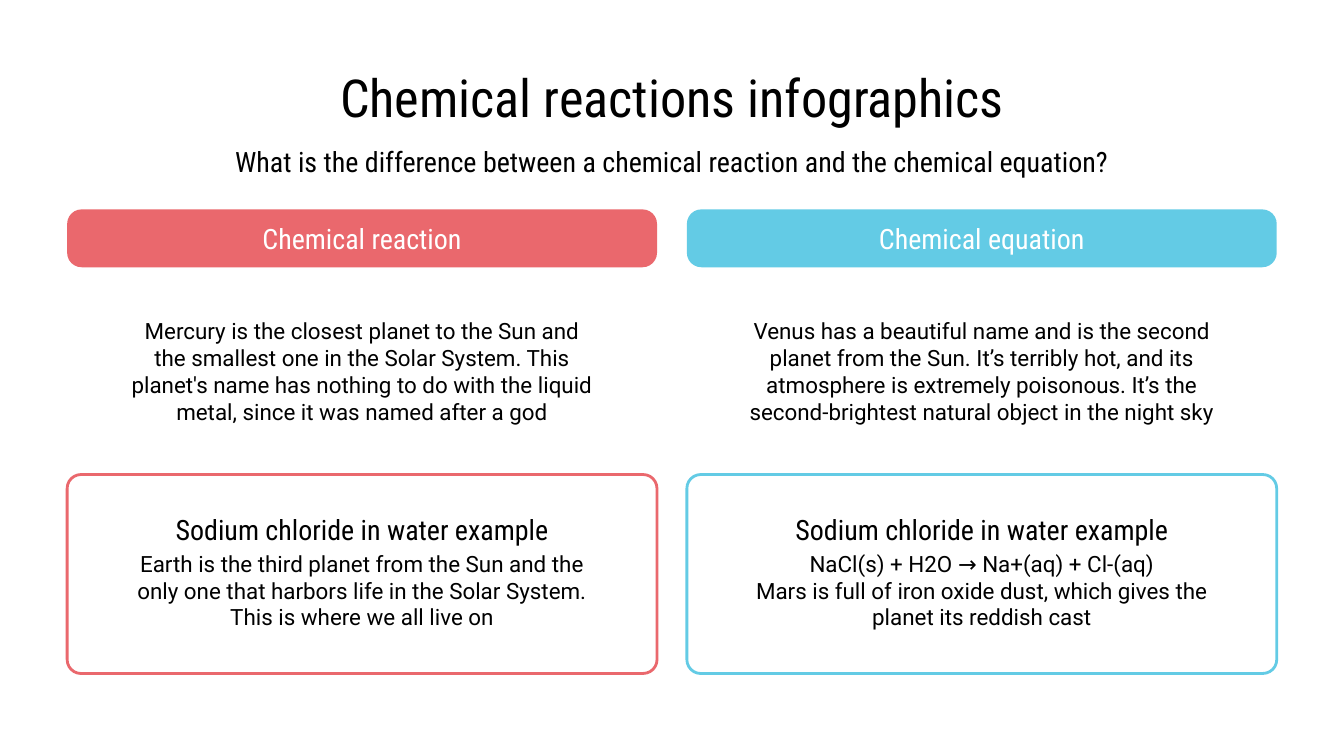
"""Build a two-column slide comparing chemical reactions and equations."""
from dataclasses import dataclass

from pptx import Presentation
from pptx.dml.color import RGBColor
from pptx.enum import shapes, text
from pptx.util import Pt

CONDENSED = "Roboto Condensed"
BODY = "Roboto"
MARGIN = 36
COLUMN_WIDTH = 316
COLUMN_STEP = 720 - 2 * MARGIN - COLUMN_WIDTH
TEXT_WIDTH = 267


@dataclass
class Column:
    heading: str
    color: str
    description: str
    example: str


COLUMNS = [
    Column(
        "Chemical reaction", "EA686D",
        "Mercury is the closest planet to the Sun and the smallest one in the "
        "Solar System. This planet's name has nothing to do with the liquid "
        "metal, since it was named after a god",
        "Earth is the third planet from the Sun and the only one that harbors "
        "life in the Solar System. This is where we all live on",
    ),
    Column(
        "Chemical equation", "63CBE5",
        "Venus has a beautiful name and is the second planet from the Sun. "
        "It’s terribly hot, and its atmosphere is extremely poisonous. It’s "
        "the second-brightest natural object in the night sky",
        "NaCl(s) + H2O → Na+(aq) + Cl-(aq)\n"
        "Mars is full of iron oxide dust, which gives the planet its reddish cast",
    ),
]


def rgb(color: str) -> RGBColor:
    return RGBColor.from_string(color)


def write(box, words: str, *, size: float, font: str = CONDENSED,
          color: str = "000000", inset: float = 7.2) -> None:
    frame = box.text_frame
    frame.word_wrap = True
    frame.auto_size = text.MSO_AUTO_SIZE.NONE
    frame.vertical_anchor = text.MSO_ANCHOR.MIDDLE
    frame.margin_left = frame.margin_right = Pt(7.2)
    frame.margin_top = frame.margin_bottom = Pt(inset)
    for index, line in enumerate(words.split("\n")):
        para = frame.add_paragraph() if index else frame.paragraphs[0]
        para.alignment = text.PP_ALIGN.CENTER
        span = para.add_run()
        span.text = line
        span.font.name = font
        span.font.size = Pt(size)
        span.font.color.rgb = rgb(color)


def add_text(page, left: float, top: float, width: float, height: float,
             words: str, *, size: float, font: str = CONDENSED) -> None:
    box = page.shapes.add_textbox(Pt(left), Pt(top), Pt(width), Pt(height))
    write(box, words, size=size, font=font)


def add_panel(page, left: float, top: float, height: float, color: str, *,
              rounding: float, filled: bool):
    panel = page.shapes.add_shape(
        shapes.MSO_SHAPE.ROUNDED_RECTANGLE,
        Pt(left), Pt(top), Pt(COLUMN_WIDTH), Pt(height))
    panel.adjustments[0] = rounding
    panel.shadow.inherit = False
    if filled:
        panel.fill.solid()
        panel.fill.fore_color.rgb = rgb(color)
        panel.line.fill.background()
    else:
        panel.fill.background()
        panel.line.color.rgb = rgb(color)
        panel.line.width = Pt(1.5)
    return panel


def draw_column(page, column: Column, left: float) -> None:
    inner = left + (COLUMN_WIDTH - TEXT_WIDTH) / 2
    bar = add_panel(page, left, 112.2, 31, column.color, rounding=0.25, filled=True)
    write(bar, column.heading, size=15, color="FFFFFF", inset=3.6)
    add_text(page, inner, 163.6, TEXT_WIDTH, 70.5, column.description, size=12, font=BODY)
    add_panel(page, left, 254.2, 106.6, column.color, rounding=0.07, filled=False)
    add_text(page, inner, 273, TEXT_WIDTH, 21, "Sodium chloride in water example", size=15)
    add_text(page, inner, 290.2, TEXT_WIDTH, 52, column.example, size=12, font=BODY)


def main() -> None:
    deck = Presentation()
    deck.slide_width, deck.slide_height = Pt(720), Pt(405)
    page = deck.slides.add_slide(deck.slide_layouts[5])
    title = page.shapes.title
    title.left, title.top = Pt(24.5), Pt(32.4)
    title.width, title.height = Pt(671), Pt(38.2)
    write(title, "Chemical reactions infographics", size=28)
    add_text(page, MARGIN, 72, 720 - 2 * MARGIN, 29,
             "What is the difference between a chemical reaction and the chemical equation?",
             size=15)
    for index, column in enumerate(COLUMNS):
        draw_column(page, column, MARGIN + index * COLUMN_STEP)
    deck.save("out.pptx")


if __name__ == "__main__":
    main()
